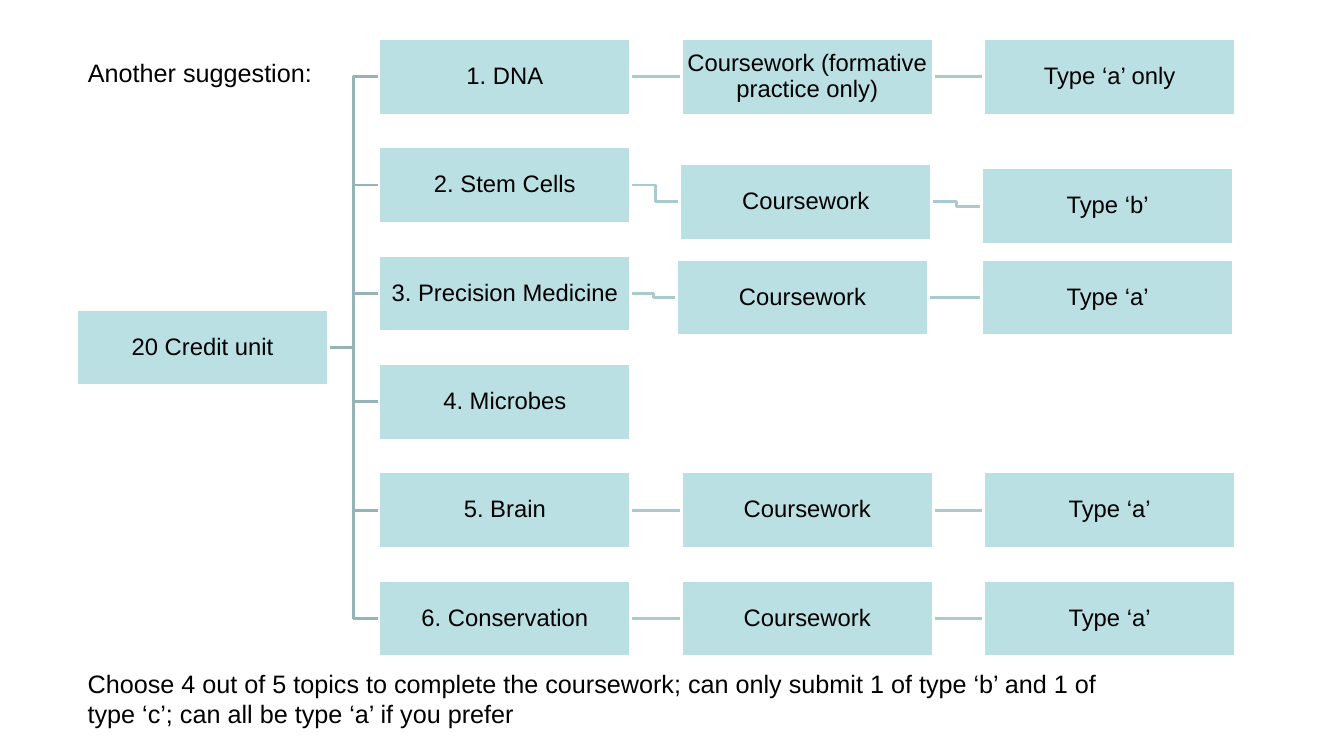
from lxml import etree
from pptx import Presentation
from pptx.dml.color import RGBColor
from pptx.enum.shapes import MSO_CONNECTOR, MSO_SHAPE
from pptx.enum.text import MSO_ANCHOR, MSO_AUTO_SIZE, PP_ALIGN
from pptx.oxml.ns import qn
from pptx.util import Cm, Pt

TITLE = "Another suggestion:"
ROOT = "20 Credit unit"
NOTE = ("Choose 4 out of 5 topics to complete the coursework; can only submit "
        "1 of type ‘b’ and 1 of type ‘c’; can all be type ‘a’ if you prefer")
ROWS = [
    ["1. DNA", "Coursework (formative practice only)", "Type ‘a’ only"],
    ["2. Stem Cells", "Coursework", "Type ‘b’"],
    ["3. Precision Medicine", "Coursework", "Type ‘a’"],
    ["4. Microbes"],
    ["5. Brain", "Coursework", "Type ‘a’"],
    ["6. Conservation", "Coursework", "Type ‘a’"],
]
SHIFTS = {(1, 1): (-0.04, 0.42), (1, 2): (-0.05, 0.53),
          (2, 1): (-0.12, 0.1), (2, 2): (-0.05, 0.1)}

LEFT, TOP = 1.93, 0.97
WIDE, HIGH = 6.35, 1.93
STEP_X, STEP_Y = 7.62, 2.73

FILL = RGBColor(0xBB, 0xE0, 0xE3)
TRUNK = RGBColor(0x96, 0xB3, 0xB6)
TWIG = RGBColor(0xAA, 0xCB, 0xCE)
WHITE = RGBColor(0xFF, 0xFF, 0xFF)
BLACK = RGBColor(0, 0, 0)

STRAIGHT, ELBOW = MSO_CONNECTOR.STRAIGHT, MSO_CONNECTOR.ELBOW
RECT = MSO_SHAPE.RECTANGLE
MIDDLE = MSO_ANCHOR.MIDDLE
LEFT_AL, CENTER = PP_ALIGN.LEFT, PP_ALIGN.CENTER
NO_FIT = MSO_AUTO_SIZE.NONE
RIGHT_SIDE, LEFT_SIDE = 3, 1


def write(frame, text, size, align):
    """Put one styled paragraph into a text frame."""
    frame.text = text
    para = frame.paragraphs[0]
    para.alignment = align
    font = para.runs[0].font
    font.name, font.size, font.color.rgb = "Arial", Pt(size), BLACK
    return para


def add_box(slide, text, x, y):
    """Add one labelled box of the tree."""
    box = slide.shapes.add_shape(RECT, Cm(x), Cm(y), Cm(WIDE), Cm(HIGH))
    box.shadow.inherit = False
    box.fill.solid()
    box.fill.fore_color.rgb = FILL
    box.line.color.rgb = WHITE
    box.line.width = Pt(2)
    frame = box.text_frame
    frame.word_wrap = True
    frame.vertical_anchor = MIDDLE
    frame.margin_left = frame.margin_right = Cm(0.03)
    frame.margin_top = frame.margin_bottom = Cm(0.03)
    write(frame, text, 17, CENTER).line_spacing = 0.9
    return box


def add_link(slide, start, end, color):
    """Add a line from the right of one place to the left of the next."""
    kind = STRAIGHT if start[1] == end[1] else ELBOW
    link = slide.shapes.add_connector(
        kind, Cm(start[0] + WIDE), Cm(start[1] + HIGH / 2),
        Cm(end[0]), Cm(end[1] + HIGH / 2))
    link.line.color.rgb = color
    link.line.width = Pt(2)
    etree.SubElement(link._element.spPr, qn("a:effectLst"))
    return link


def main():
    """Build the topic tree slide."""
    deck = Presentation()
    deck.slide_width, deck.slide_height = Cm(33.87), Cm(19.05)
    slide = deck.slides.add_slide(deck.slide_layouts[5])

    title = slide.shapes.title
    title.left, title.top = Cm(1.96), Cm(1.32)
    title.width, title.height = Cm(6.22), Cm(1.02)
    title.text_frame.word_wrap = False
    title.text_frame.auto_size = NO_FIT
    title.text_frame.vertical_anchor = MIDDLE
    write(title.text_frame, TITLE, 18, LEFT_AL)

    root = "root"
    spots = {root: (LEFT, TOP + STEP_Y * (len(ROWS) - 1) / 2)}
    texts = {root: ROOT}
    pairs = []
    for row, cells in enumerate(ROWS):
        for col, text in enumerate(cells):
            key = row, col
            dx, dy = SHIFTS.get(key, (0, 0))
            spots[key] = (LEFT + STEP_X * (col + 1) + dx,
                          TOP + STEP_Y * row + dy)
            texts[key] = text
            pairs.append(((row, col - 1) if col else root, key))

    links = [add_link(slide, spots[a], spots[b], TRUNK if a == root else TWIG)
             for a, b in pairs]
    boxes = {key: add_box(slide, texts[key], *spot)
             for key, spot in spots.items()}
    for link, (a, b) in zip(links, pairs):
        link.begin_connect(boxes[a], RIGHT_SIDE)
        link.end_connect(boxes[b], LEFT_SIDE)

    note = slide.shapes.add_textbox(Cm(1.96), Cm(16.71), Cm(27.18), Cm(1.8))
    note.text_frame.word_wrap = True
    write(note.text_frame, NOTE, 18, LEFT_AL)
    deck.save("out.pptx")


if __name__ == "__main__":
    main()
